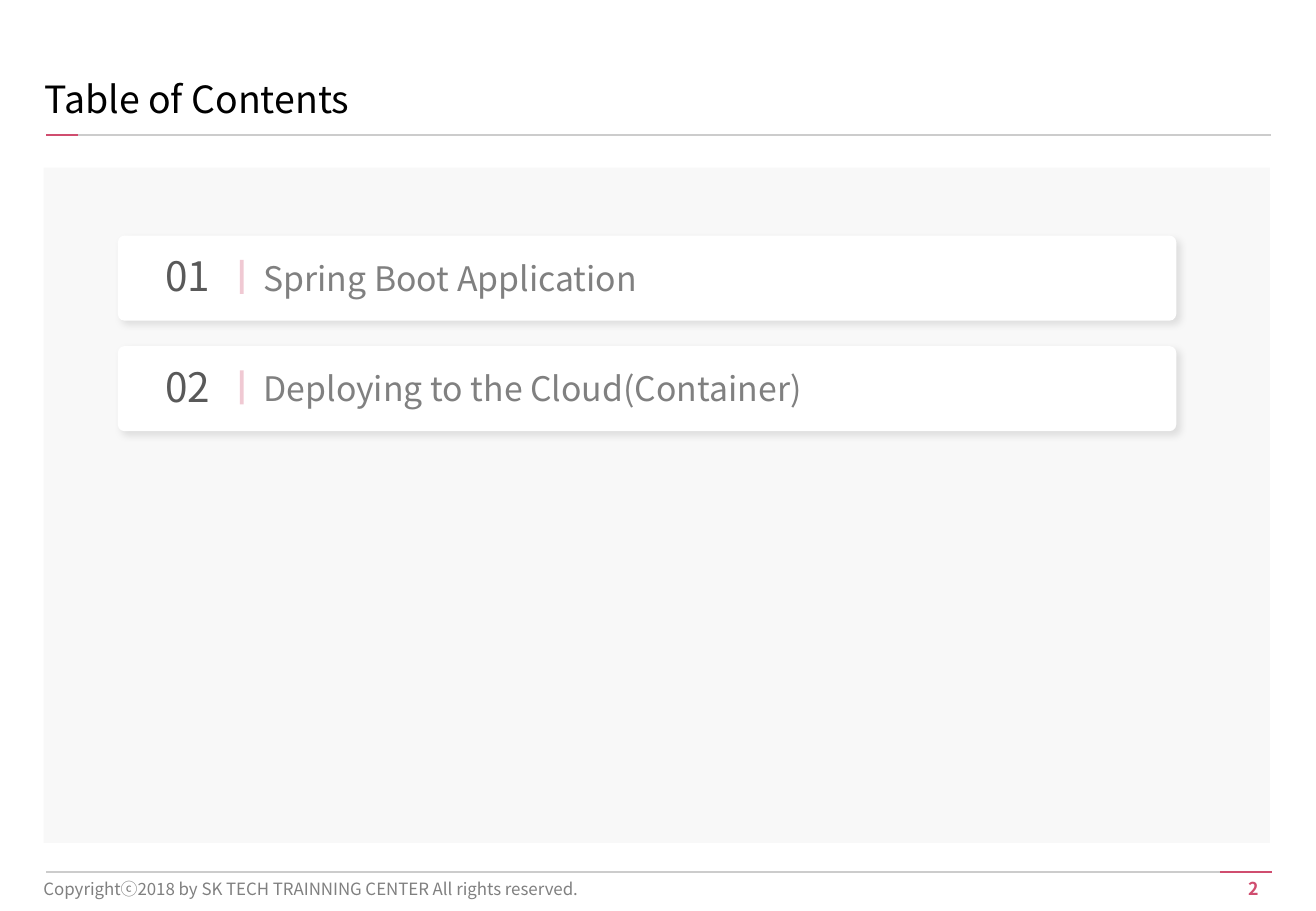
import pptx
import pptx.util
import pptx.oxml
import pptx.oxml.ns
import pptx.dml.color
import pptx.enum.shapes
import pptx.enum.text

Inches = pptx.util.Inches
Pt = pptx.util.Pt
ALIGN = pptx.enum.text.PP_ALIGN
ANCHOR = pptx.enum.text.MSO_ANCHOR
SHAPE = pptx.enum.shapes.MSO_SHAPE
NS = pptx.oxml.ns.nsdecls("a")
JP = "Noto Sans CJK JP"
KR = "Noto Sans CJK KR"
PINK = "D04D6F"
GRAY = "808080"
RULE = "CCCCCC"


def color(text):
    return pptx.dml.color.RGBColor.from_string(text)


def node(xml):
    return pptx.oxml.parse_xml(xml)


def write(slide, text, box, size=20, font=KR, ink=GRAY, bold=False,
          align=ALIGN.LEFT, anchor=ANCHOR.TOP, left=0.1, right=0.1):
    frame = slide.shapes.add_textbox(*map(Inches, box)).text_frame
    frame.word_wrap = True
    frame.vertical_anchor = anchor
    frame.margin_left, frame.margin_right = Inches(left), Inches(right)
    para = frame.paragraphs[0]
    para.alignment = align
    run = para.add_run()
    run.text = text
    run.font.size, run.font.bold, run.font.name = Pt(size), bold, font
    run.font.color.rgb = color(ink)
    run.font._element.append(node(f'<a:ea {NS} typeface="{font}"/>'))


def panel(slide, kind, box, fill):
    shape = slide.shapes.add_shape(kind, *map(Inches, box))
    shape.shadow.inherit = False
    shape.fill.solid()
    shape.fill.fore_color.rgb = color(fill)
    shape.line.fill.background()
    return shape


def draw(slide, start, end, ink, width=1.5, alpha=100):
    line = slide.shapes.add_connector(
        pptx.enum.shapes.MSO_CONNECTOR.STRAIGHT, *map(Inches, start + end))
    line.line.width = Pt(width)
    line.line.color.rgb = color(ink)
    props = line._element.spPr
    if alpha < 100:
        tint = props.find(".//" + pptx.oxml.ns.qn("a:srgbClr"))
        tint.append(node(f'<a:alpha {NS} val="{alpha * 1000}"/>'))
    props.append(node(f'<a:effectLst {NS}/>'))


def header(slide, box, title):
    left, top, width, height = box
    base = top + height
    draw(slide, (left, base), (left + width, base), RULE)
    draw(slide, (left, base), (left + 0.26, base), PINK)
    write(slide, title, (left - 0.2, top, 7.31, 0.46), size=22.2, font=JP,
          ink="000000", anchor=ANCHOR.MIDDLE, left=0.19)


def footer(slide, box, note, page):
    left, top, width, height = box
    end = left + width
    draw(slide, (left, top), (end, top), RULE)
    draw(slide, (end - 0.42, top), (end + 0.01, top), PINK)
    write(slide, page, (end - 0.67, top, 0.57, height), size=10.5, font=JP,
          ink=PINK, bold=True, align=ALIGN.RIGHT, right=0)
    write(slide, note, (left - 0.12, top - 0.03, 5.7, 0.34), size=10,
          font=JP, anchor=ANCHOR.MIDDLE)


def entry(slide, box, number, title):
    left, top, width, height = box
    card = panel(slide, SHAPE.ROUNDED_RECTANGLE, box, "FFFFFF")
    card.adjustments[0] = 0.078
    effect = card._element.spPr.find(pptx.oxml.ns.qn("a:effectLst"))
    effect.append(node(
        f'<a:outerShdw {NS} blurRad="{Pt(4)}" dist="{Pt(3)}" dir="2700000" '
        'algn="tl" rotWithShape="0"><a:srgbClr val="000000">'
        '<a:alpha val="10000"/></a:srgbClr></a:outerShdw>'))
    write(slide, number, (left + 0.14, top + 0.08, 0.87, 0.5), size=24,
          ink="595959", align=ALIGN.CENTER)
    write(slide, title, (left + 1.1, top + 0.13, 6.12, 0.44))
    bar = left + 1.02
    draw(slide, (bar, top + 0.2), (bar, top + 0.48), PINK, width=2.25, alpha=30)


def contents(slide, box, titles):
    left, top, width, height = box
    panel(slide, SHAPE.RECTANGLE, box, "F8F8F8")
    for index, title in enumerate(titles):
        card = (left + 0.61, top + 0.56 + 0.91 * index, width - 1.38, 0.7)
        entry(slide, card, f"{index + 1:02d}", title)


def main():
    deck = pptx.Presentation()
    deck.slide_width, deck.slide_height = Inches(10.83), Inches(7.5)
    slide = deck.slides.add_slide(deck.slide_layouts[6])
    header(slide, (0.38, 0.58, 10.08, 0.53), "Table of Contents")
    contents(slide, (0.36, 1.38, 10.09, 5.56),
             ["Spring Boot Application", "Deploying to the Cloud(Container)"])
    footer(slide, (0.38, 7.18, 10.08, 0.28),
           "Copyrightⓒ2018 by SK TECH TRAINNING CENTER All rights reserved.", "2")
    deck.save("out.pptx")


if __name__ == "__main__":
    main()
